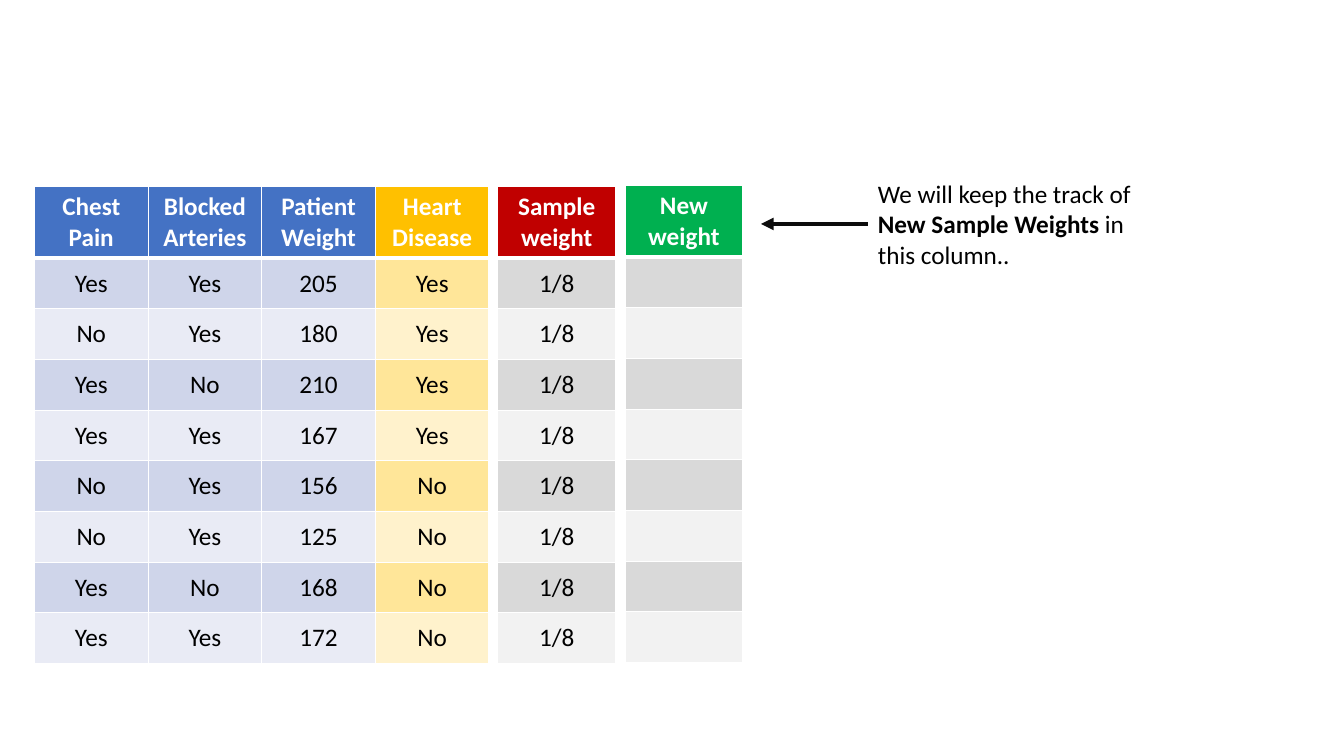
from dataclasses import dataclass

from lxml import etree
from pptx import Presentation
from pptx.dml.color import RGBColor
from pptx.enum.shapes import MSO_CONNECTOR
from pptx.enum.text import MSO_ANCHOR, MSO_AUTO_SIZE, PP_ALIGN
from pptx.oxml.ns import qn
from pptx.util import Pt

CENTER = PP_ALIGN.CENTER
MIDDLE = MSO_ANCHOR.MIDDLE
GROW = MSO_AUTO_SIZE.SHAPE_TO_FIT_TEXT
STRAIGHT = MSO_CONNECTOR.STRAIGHT

WHITE, BLACK = "FFFFFF", "000000"
ROW = 36.2


@dataclass
class Column:
    title: str
    fill: str
    bands: tuple[str, str]
    values: list[str]


@dataclass
class Grid:
    left: float
    top: float
    width: float
    head: float
    columns: list[Column]


BLUES = ("CFD5EA", "E9EBF5")
GOLDS = ("FFE699", "FFF2CC")
GRAYS = ("D9D9D9", "F2F2F2")

GRIDS = [
    Grid(24.6, 133.2, 81.2, 47, [
        Column("Chest Pain", "4472C4", BLUES, "Yes No Yes Yes No No Yes Yes".split()),
        Column("Blocked\nArteries", "4472C4", BLUES, "Yes Yes No Yes Yes Yes No Yes".split()),
        Column("Patient Weight", "4472C4", BLUES, "205 180 210 167 156 125 168 172".split()),
        Column("Heart Disease", "FFC000", GOLDS, "Yes Yes Yes Yes No No No No".split()),
    ]),
    Grid(355.6, 133.2, 84.2, 49.7, [Column("Sample weight", "C00000", GRAYS, ["1/8"] * 8)]),
    Grid(446.4, 132.5, 84.2, 49.7, [Column("New weight", "00B050", GRAYS, [""] * 8)]),
]


def color(code: str) -> RGBColor:
    return RGBColor.from_string(code)


def style(para, code: str) -> None:
    para.font.name = "Calibri"
    para.font.size = Pt(18)
    para.font.color.rgb = color(code)


def border(cell, side: str, width: float) -> None:
    props = cell._tc.get_or_add_tcPr()
    line = etree.SubElement(props, qn(f"a:ln{side}"), w=str(Pt(width)))
    fill = etree.SubElement(line, qn("a:solidFill"))
    etree.SubElement(fill, qn("a:srgbClr"), val=WHITE)


def draw_cell(cell, text: str, fill: str, row: int) -> None:
    # Borders come before the fill; the rule under the header is thicker
    for side in "LRTB":
        thick = (side, row) in (("B", 0), ("T", 1))
        border(cell, side, 3 if thick else 1)
    cell.fill.solid()
    cell.fill.fore_color.rgb = color(fill)
    cell.vertical_anchor = MIDDLE
    cell.text = text
    for para in cell.text_frame.paragraphs:
        para.alignment = CENTER
        style(para, BLACK if row else WHITE)
        para.font.bold = row == 0


def draw_grid(slide, grid: Grid) -> None:
    cols = grid.columns
    count = len(cols[0].values)
    table = slide.shapes.add_table(
        count + 1, len(cols), Pt(grid.left), Pt(grid.top),
        Pt(grid.width * len(cols)), Pt(grid.head + ROW * count)).table
    table.horz_banding = False
    table.first_row = False
    for row, line in enumerate(table.rows):
        line.height = Pt(ROW if row else grid.head)
    for col, item in enumerate(cols):
        table.columns[col].width = Pt(grid.width)
        draw_cell(table.cell(0, col), item.title, item.fill, 0)
        for row, value in enumerate(item.values, 1):
            draw_cell(table.cell(row, col), value, item.bands[(row - 1) % 2], row)


def draw_note(slide) -> None:
    frame = slide.shapes.add_textbox(Pt(620), Pt(124), Pt(200), Pt(72.7)).text_frame
    frame.word_wrap = True
    frame.auto_size = GROW
    para = frame.paragraphs[0]
    style(para, BLACK)
    for text, bold in (("We will keep the track of ", False),
                       ("New Sample Weights ", True),
                       ("in this column..", False)):
        run = para.add_run()
        run.text = text
        run.font.bold = bold


def draw_arrow(slide) -> None:
    arrow = slide.shapes.add_connector(STRAIGHT, Pt(620), Pt(160), Pt(543.6), Pt(160))
    arrow.line.color.rgb = color("0D0D0D")
    arrow.line.width = Pt(3)
    etree.SubElement(arrow.line._get_or_add_ln(), qn("a:tailEnd"), type="triangle")
    etree.SubElement(arrow._element.spPr, qn("a:effectLst"))


def main() -> None:
    deck = Presentation()
    deck.slide_width, deck.slide_height = Pt(960), Pt(540)
    slide = deck.slides.add_slide(deck.slide_layouts[6])
    # Patient data and weight columns
    for grid in GRIDS:
        draw_grid(slide, grid)
    # Note on the new column
    draw_note(slide)
    draw_arrow(slide)
    deck.save("out.pptx")


if __name__ == "__main__":
    main()
